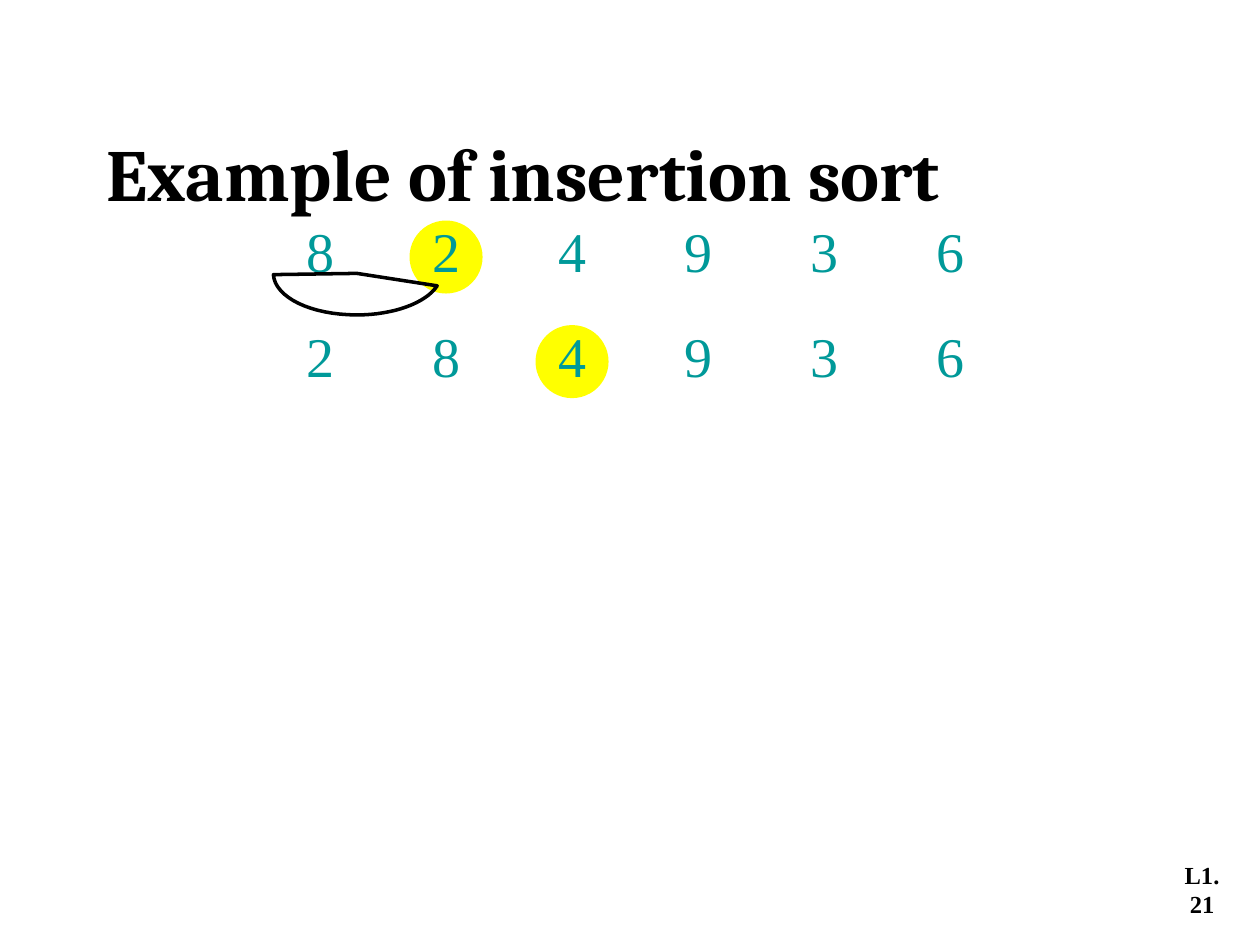
from dataclasses import dataclass
from pptx import Presentation
from pptx.dml.color import RGBColor
from pptx.enum.shapes import MSO_SHAPE as Shape
from pptx.enum.text import MSO_ANCHOR as Anchor, PP_ALIGN as Align
from pptx.util import Inches, Pt


@dataclass(frozen=True)
class Theme:
    ink: RGBColor = RGBColor(0x00, 0x00, 0x00)
    digit: RGBColor = RGBColor(0x00, 0x99, 0x99)
    marker: RGBColor = RGBColor(0xFF, 0xFF, 0x00)
    heading_font: str = "Cambria"
    body_font: str = "Times New Roman"
    title_size: int = 42
    digit_size: int = 32
    number_size: int = 14


THEME = Theme()
TITLE = {"name": THEME.heading_font, "size": Pt(THEME.title_size), "bold": True}
DIGIT = {"name": THEME.body_font, "size": Pt(THEME.digit_size)}
NUMBER = {"name": THEME.body_font, "size": Pt(THEME.number_size), "bold": True}


def add_text(page, box, text, font, color, align=Align.CENTER, anchor=Anchor.TOP, spacing=None):
    frame = page.shapes.add_textbox(*map(Inches, box)).text_frame
    frame.word_wrap = True
    frame.vertical_anchor = anchor
    para = frame.paragraphs[0]
    para.alignment = align
    para.line_spacing = spacing
    span = para.add_run()
    span.text = text
    for key, value in font.items():
        setattr(span.font, key, value)
    span.font.color.rgb = color


def add_title(page, box):
    add_text(page, box, "Example of insertion sort", TITLE, THEME.ink,
             Align.LEFT, Anchor.MIDDLE, 0.9)


def add_page_number(page, box):
    add_text(page, box, "L1.21", NUMBER, THEME.ink, anchor=Anchor.MIDDLE)


def add_number_row(page, box, digits, key_index):
    left, top, width, height = box
    pitch = 1
    cell = width - pitch * (len(digits) - 1)
    diameter = 0.58
    circle_left = left + key_index * pitch + (cell - diameter) / 2
    circle = page.shapes.add_shape(
        Shape.OVAL, *map(Inches, (circle_left, top + 0.08, diameter, diameter)))
    circle.shadow.inherit = False
    circle.fill.solid()
    circle.fill.fore_color.rgb = THEME.marker
    circle.line.fill.background()
    for index, digit in enumerate(digits):
        add_text(page, (left + index * pitch, top, cell, height), digit, DIGIT, THEME.digit)


def curve_points(start, control_a, control_b, end, steps=16):
    for step in range(1, steps + 1):
        t = step / steps
        weights = ((1 - t) ** 3, 3 * t * (1 - t) ** 2, 3 * t ** 2 * (1 - t), t ** 3)
        yield tuple(sum(weight * point[axis] for weight, point
                        in zip(weights, (start, control_a, control_b, end)))
                    for axis in (0, 1))


def add_move_arc(page, box):
    left, top, width, height = box

    def place(point):
        return Inches(left + point[0] * width), Inches(top + point[1] * height)

    right_end, bottom, left_end, center = (1, 0.3), (0.51, 1), (0, 0.03), (0.51, 0)
    outline = [
        *curve_points(right_end, (0.93, 0.72), (0.73, 1), bottom),
        *curve_points(bottom, (0.23, 1), (0.01, 0.58), left_end),
        center,
    ]
    builder = page.shapes.build_freeform(*place(right_end))
    builder.add_line_segments([place(point) for point in outline], close=True)
    arc = builder.convert_to_shape()
    arc.shadow.inherit = False
    arc.fill.background()
    arc.line.color.rgb = THEME.ink
    arc.line.width = Pt(2)


def main():
    deck = Presentation()
    deck.slide_width, deck.slide_height = Inches(10), Inches(7.5)
    page = deck.slides.add_slide(deck.slide_layouts[6])
    add_title(page, (0.75, 0.53, 8.5, 1.76))
    add_page_number(page, (9.28, 6.86, 0.52, 0.4))
    add_number_row(page, (2.33, 1.67, 5.42, 0.63), "824936", 1)
    add_move_arc(page, (2.17, 2.17, 1.3, 0.33))
    add_number_row(page, (2.33, 2.5, 5.42, 0.63), "284936", 2)
    deck.save("out.pptx")


if __name__ == "__main__":
    main()
